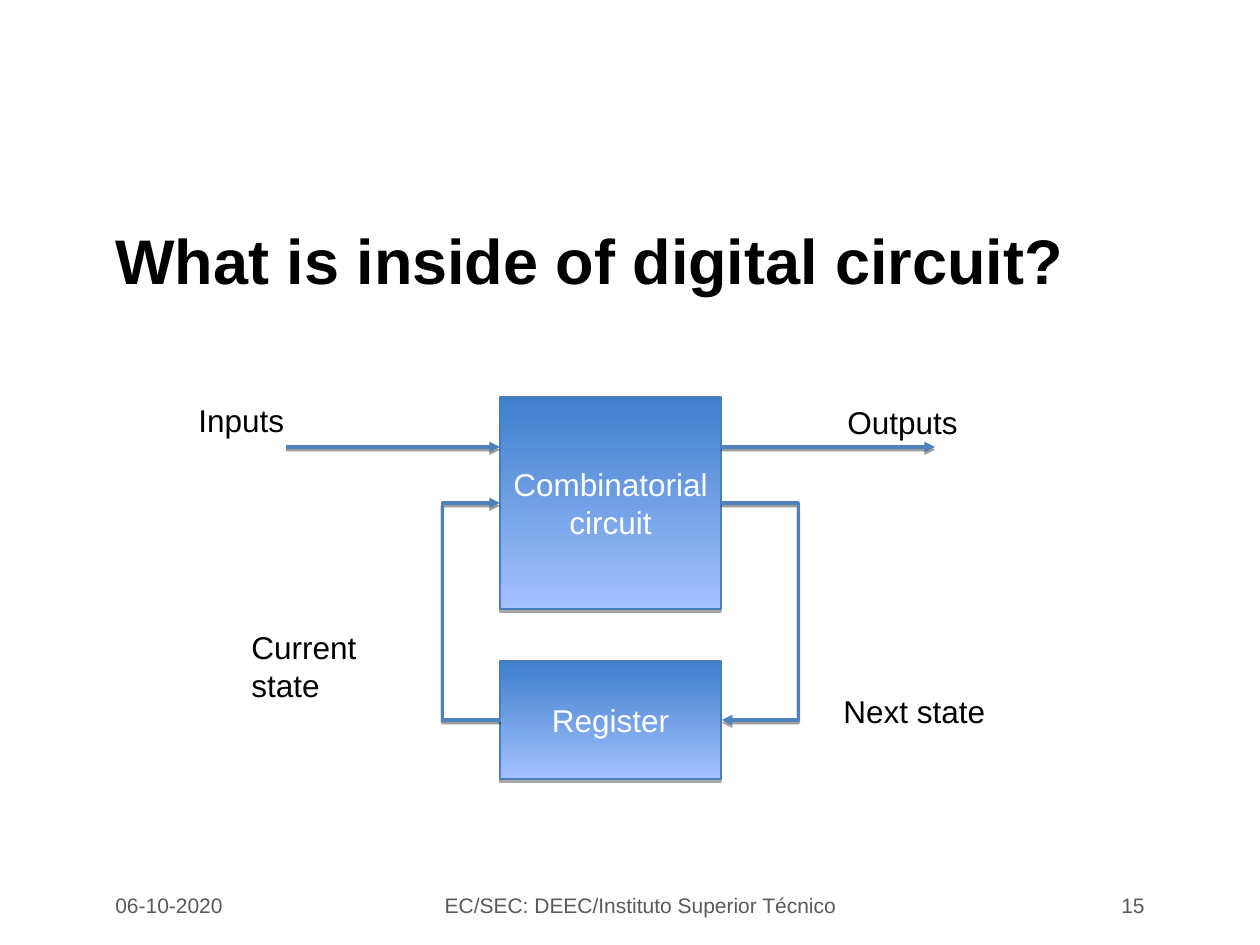
from dataclasses import dataclass

from lxml.etree import SubElement
from pptx import Presentation
from pptx.dml.color import RGBColor
from pptx.enum.shapes import MSO_CONNECTOR as Link, MSO_SHAPE as Preset
from pptx.enum.text import MSO_ANCHOR as Anchor, MSO_AUTO_SIZE as AutoSize, PP_ALIGN as Align
from pptx.oxml.ns import qn
from pptx.util import Emu, Pt

PX_PER_INCH = 126


@dataclass(frozen=True)
class Theme:
    font: str = "Arial"
    ink: str = "000000"
    muted: str = "595959"
    on_block: str = "FFFFFF"
    block_top: str = "3E7FCC"
    block_bottom: str = "A4C1FF"
    block_edge: str = "4A7EBB"
    wire: str = "4F81BD"
    shadow: str = "000000"
    title_size: int = 36
    body_size: int = 18
    footer_size: int = 12
    wire_width: float = 2
    edge_width: float = 0.75


THEME = Theme()


@dataclass(frozen=True)
class Box:
    left: int
    top: int
    width: int
    height: int

    @property
    def right(self) -> int:
        return self.left + self.width

    @property
    def middle(self) -> int:
        return self.top + self.height // 2


@dataclass(frozen=True)
class Text:
    words: str
    box: Box
    size: int = THEME.body_size
    color: str = THEME.ink
    bold: bool = False
    align: Align = Align.LEFT
    anchor: Anchor = Anchor.TOP


@dataclass(frozen=True)
class Block:
    words: str
    box: Box


@dataclass(frozen=True)
class Wire:
    start: tuple[int, int]
    end: tuple[int, int]
    via_x: int | None = None


def px(length: int) -> Emu:
    return Emu(round(length * 914400 / PX_PER_INCH))


def place(box: Box) -> tuple[Emu, ...]:
    return tuple(px(n) for n in (box.left, box.top, box.width, box.height))


def rgb(color: str) -> RGBColor:
    return RGBColor.from_string(color)


def write(shape, text: Text) -> None:
    frame = shape.text_frame
    frame.word_wrap = True
    frame.vertical_anchor = text.anchor
    paragraph = frame.paragraphs[0]
    paragraph.alignment = text.align
    run = paragraph.add_run()
    run.text = text.words
    run.font.name = THEME.font
    run.font.size = Pt(text.size)
    run.font.bold = text.bold
    run.font.color.rgb = rgb(text.color)


def drop_shadow(shape, distance: float, opacity: int) -> None:
    effects = SubElement(shape._element.spPr, qn("a:effectLst"))
    outer = SubElement(effects, qn("a:outerShdw"), blurRad="0", dist=str(Pt(distance)),
                       dir="5400000", rotWithShape="0")
    color = SubElement(outer, qn("a:srgbClr"), val=THEME.shadow)
    SubElement(color, qn("a:alpha"), val=str(opacity * 1000))


def draw_text(slide, text: Text) -> None:
    shape = slide.shapes.add_textbox(*place(text.box))
    write(shape, text)
    if text.anchor == Anchor.TOP:
        shape.text_frame.auto_size = AutoSize.SHAPE_TO_FIT_TEXT


def draw_block(slide, block: Block) -> None:
    shape = slide.shapes.add_shape(Preset.RECTANGLE, *place(block.box))
    shape.fill.gradient()
    shape.fill.gradient_angle = 270
    for stop, color in zip(shape.fill.gradient_stops, (THEME.block_top, THEME.block_bottom)):
        stop.color.rgb = rgb(color)
    shape.line.color.rgb = rgb(THEME.block_edge)
    shape.line.width = Pt(THEME.edge_width)
    drop_shadow(shape, 1.8, 35)
    write(shape, Text(block.words, block.box, color=THEME.on_block,
                      align=Align.CENTER, anchor=Anchor.MIDDLE))


def draw_wire(slide, wire: Wire) -> None:
    kind = Link.STRAIGHT if wire.via_x is None else Link.ELBOW
    connector = slide.shapes.add_connector(kind, *(px(n) for n in wire.start + wire.end))
    if wire.via_x is not None:
        # The bend lies outside the span, as a multiple of its width
        ratio = (wire.via_x - wire.start[0]) / (wire.end[0] - wire.start[0])
        geometry = connector._element.spPr.find(qn("a:prstGeom"))
        guides = geometry.find(qn("a:avLst"))
        if guides is None:
            guides = SubElement(geometry, qn("a:avLst"))
        SubElement(guides, qn("a:gd"), name="adj1", fmla=f"val {round(ratio * 100000)}")
    connector.line.color.rgb = rgb(THEME.wire)
    connector.line.width = Pt(THEME.wire_width)
    SubElement(connector.line._get_or_add_ln(), qn("a:tailEnd"), type="triangle")
    drop_shadow(connector, 1.6, 38)


def footer(words: str, left: int, width: int, align: Align) -> Text:
    return Text(words, Box(left, 884, width, 43), THEME.footer_size, THEME.muted,
                align=align, anchor=Anchor.MIDDLE)


# Title and footer
FRAME_TEXTS = (
    Text("What is inside of digital circuit?", Box(103, 199, 1054, 120), THEME.title_size,
         bold=True, anchor=Anchor.MIDDLE),
    footer("06-10-2020", 103, 254, Align.LEFT),
    footer("EC/SEC: DEEC/Instituto Superior Técnico ", 430, 427, Align.CENTER),
    footer("15", 905, 252, Align.RIGHT),
)

# Circuit: logic above, register below, state looping around both
LOGIC = Block("Combinatorial circuit", Box(500, 397, 221, 212))
REGISTER = Block("Register", Box(500, 661, 221, 118))
LEFT, RIGHT = LOGIC.box.left, LOGIC.box.right
SIGNAL_Y, SIGNAL_LENGTH = 447, 214
WIRES = (
    Wire((RIGHT, SIGNAL_Y), (RIGHT + SIGNAL_LENGTH, SIGNAL_Y)),
    Wire((RIGHT, LOGIC.box.middle), (RIGHT + 1, REGISTER.box.middle), via_x=799),
    Wire((LEFT + 1, REGISTER.box.middle), (LEFT, LOGIC.box.middle), via_x=442),
    Wire((LEFT - SIGNAL_LENGTH, SIGNAL_Y), (LEFT, SIGNAL_Y)),
)
LABELS = (
    Text("Outputs", Box(835, 397, 145, 50)),
    Text("Next state", Box(831, 686, 180, 50)),
    Text("Inputs", Box(186, 395, 120, 50)),
    Text("Current state", Box(239, 622, 190, 88)),
)


def main() -> None:
    presentation = Presentation()
    presentation.slide_width, presentation.slide_height = px(1260), px(945)
    slide = presentation.slides.add_slide(presentation.slide_layouts[6])
    for text in FRAME_TEXTS:
        draw_text(slide, text)
    for block in (LOGIC, REGISTER):
        draw_block(slide, block)
    for wire in WIRES:
        draw_wire(slide, wire)
    for label in LABELS:
        draw_text(slide, label)
    presentation.save("out.pptx")


if __name__ == "__main__":
    main()
